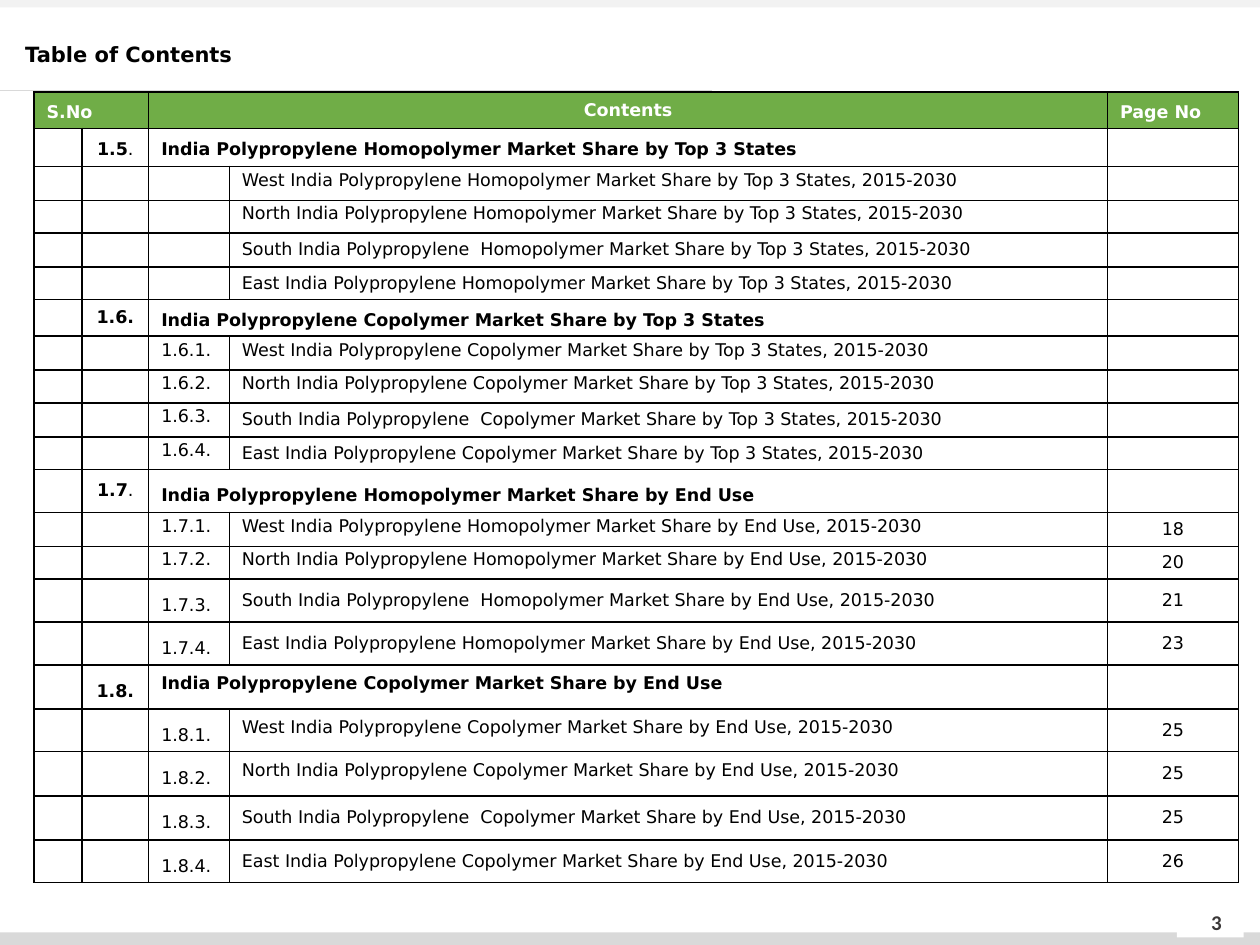
from lxml import etree
from pptx import Presentation
from pptx.dml.color import RGBColor
from pptx.enum import shapes, text
from pptx.oxml import ns
from pptx.util import Inches, Pt

BLACK = RGBColor(0x00, 0x00, 0x00)
WHITE = RGBColor(0xFF, 0xFF, 0xFF)
GREEN = RGBColor(0x70, 0xAD, 0x47)
PALE_GREY = RGBColor(0xF2, 0xF2, 0xF2)
MID_GREY = RGBColor(0xD9, 0xD9, 0xD9)
DARK_GREY = RGBColor(0x3B, 0x38, 0x38)
LEFT, CENTER, JUSTIFY = text.PP_ALIGN.LEFT, text.PP_ALIGN.CENTER, text.PP_ALIGN.JUSTIFY
FONT = "DejaVu Sans"

# Region label and the line spacing of its entry
REGIONS = [
    ("West India Polypropylene", 0.5),
    ("North India Polypropylene", 0.5),
    ("South India Polypropylene ", 1.0),
    ("East India Polypropylene", 1.0),
]
# number, dot is bold, product, topic, number spacing, heading spacing, alignment, height,
# then for the four regions: entry numbers, their spacings, pages, row heights
SECTIONS = [
    ("1.5", False, "Homopolymer", "Top 3 States", 1.2, 1.2, JUSTIFY, 0.3,
     [""] * 4, [1.0] * 4, [""] * 4, [0.27, 0.26, 0.27, 0.26]),
    ("1.6", True, "Copolymer", "Top 3 States", Pt(10.8), 1.2, JUSTIFY, 0.29,
     ["1.6.1.", "1.6.2.", "1.6.3.", "1.6.4."], [0.5] * 4, [""] * 4, [0.27, 0.26, 0.27, 0.26]),
    ("1.7", False, "Homopolymer", "End Use", Pt(10.8), Pt(17), LEFT, 0.34,
     ["1.7.1.", "1.7.2.", "1.7.3.", "1.7.4."], [0.5, 0.5, 1.5, 1.5],
     ["18", "20", "21", "23"], [0.27, 0.26, 0.34, 0.34]),
    ("1.8", True, "Copolymer", "End Use", 1.5, 0.5, LEFT, 0.35,
     ["1.8.1.", "1.8.2.", "1.8.3.", "1.8.4."], [1.5] * 4,
     ["25", "25", "25", "26"], [0.34, 0.35, 0.35, 0.34]),
]


def style_paragraph(paragraph, size, color, bold, align=LEFT, spacing=1.0, font=FONT):
    paragraph.alignment = align
    paragraph.line_spacing = spacing
    for run in paragraph.runs:
        run.font.name = font
        run.font.size = Pt(size)
        run.font.bold = bold
        run.font.color.rgb = color


def fill_cell(cell, words, color=BLACK, bold=False, align=LEFT, spacing=1.0):
    cell.text = words
    style_paragraph(cell.text_frame.paragraphs[0], 10, color, bold, align, spacing)


prs = Presentation()
prs.slide_width, prs.slide_height = Inches(10), Inches(7.5)
slide = prs.slides.add_slide(prs.slide_layouts[5])

# Page frame
for left, top, width, height, color in [
    (0, 7.4, 10, 0.15, MID_GREY),
    (0, 0, 10, 0.06, PALE_GREY),
    (9.34, 7.22, 0.53, 0.22, WHITE),
]:
    band = slide.shapes.add_shape(shapes.MSO_SHAPE.RECTANGLE, Inches(left), Inches(top),
                                  Inches(width), Inches(height))
    band.shadow.inherit = False
    band.fill.solid()
    band.fill.fore_color.rgb = color
    band.line.fill.background()

rule = slide.shapes.add_connector(shapes.MSO_CONNECTOR.STRAIGHT, Inches(0), Inches(0.72),
                                  Inches(5.65), Inches(0.72))
rule.line.color.rgb = MID_GREY
rule.line.width = Pt(0.5)
etree.SubElement(rule._element.spPr, ns.qn("a:effectLst"))

page_number = slide.shapes.add_textbox(Inches(9.41), Inches(7.12), Inches(0.49), Inches(0.4))
page_number.text_frame.word_wrap = True
page_number.text_frame.vertical_anchor = text.MSO_ANCHOR.MIDDLE
page_number.text_frame.text = "3"
style_paragraph(page_number.text_frame.paragraphs[0], 12, DARK_GREY, True, CENTER, font="Calibri")

heading = slide.shapes.title
heading.left, heading.top = Inches(0.1), Inches(0.25)
heading.width, heading.height = Inches(7.93), Inches(0.32)
heading.text_frame.text = "Table of Contents"
heading.text_frame.auto_size = text.MSO_AUTO_SIZE.NONE
heading.text_frame.vertical_anchor = text.MSO_ANCHOR.MIDDLE
style_paragraph(heading.text_frame.paragraphs[0], 12, BLACK, True, spacing=Pt(17))

# Contents table
row_count = 1 + len(SECTIONS) * (1 + len(REGIONS))
contents = slide.shapes.add_table(row_count, 5, Inches(0.27), Inches(0.73),
                                  Inches(9.56), Inches(6.29)).table
for column, width in zip(contents.columns, [0.38, 0.53, 0.64, 6.97, 1.04]):
    column.width = Inches(width)

contents.rows[0].height = Inches(0.29)
contents.cell(0, 0).merge(contents.cell(0, 1))
contents.cell(0, 2).merge(contents.cell(0, 3))
fill_cell(contents.cell(0, 0), "S.No", WHITE, True, spacing=1.2)
fill_cell(contents.cell(0, 2), "Contents", WHITE, True, CENTER)
fill_cell(contents.cell(0, 4), "Page No", WHITE, True, spacing=1.2)

row = 1
for (number, bold_dot, product, topic, number_spacing, heading_spacing, align, height,
     entry_numbers, entry_spacings, pages, entry_heights) in SECTIONS:
    contents.rows[row].height = Inches(height)
    contents.cell(row, 2).merge(contents.cell(row, 3))
    fill_cell(contents.cell(row, 2), f"India Polypropylene {product} Market Share by {topic}",
              bold=True, align=align, spacing=heading_spacing)
    section_number = contents.cell(row, 1)
    section_number.text = number
    number_line = section_number.text_frame.paragraphs[0]
    dot = number_line.add_run()
    dot.text = "."
    style_paragraph(number_line, 10, BLACK, True, CENTER, number_spacing)
    dot.font.bold = bold_dot
    row += 1

    for (region, spacing), entry_number, entry_spacing, page, entry_height in zip(
            REGIONS, entry_numbers, entry_spacings, pages, entry_heights):
        contents.rows[row].height = Inches(entry_height)
        fill_cell(contents.cell(row, 2), entry_number, spacing=entry_spacing)
        fill_cell(contents.cell(row, 3),
                  f"{region} {product} Market Share by {topic}, 2015-2030", spacing=spacing)
        fill_cell(contents.cell(row, 4), page, align=CENTER)
        row += 1

for index, cell in enumerate(contents.iter_cells()):
    cell.vertical_anchor = text.MSO_ANCHOR.MIDDLE
    cell.margin_top, cell.margin_bottom = Inches(0.04), Inches(0.04)
    properties = cell._tc.get_or_add_tcPr()
    for side in ("lnL", "lnR", "lnT", "lnB"):
        border = etree.SubElement(properties, ns.qn(f"a:{side}"), w=str(Pt(1)))
        ink = etree.SubElement(border, ns.qn("a:solidFill"))
        etree.SubElement(ink, ns.qn("a:srgbClr"), val=str(BLACK))
    if index < len(contents.columns):
        cell.fill.solid()
        cell.fill.fore_color.rgb = GREEN
    else:
        cell.fill.background()
    # Empty cells would otherwise stretch their rows to the default 18 pt
    blank = cell.text_frame.paragraphs[0]
    if not blank.text:
        for mark in blank._p.findall(ns.qn("a:endParaRPr")):
            blank._p.remove(mark)
        etree.SubElement(blank._p, ns.qn("a:endParaRPr"), sz="1000")

prs.save("out.pptx")
